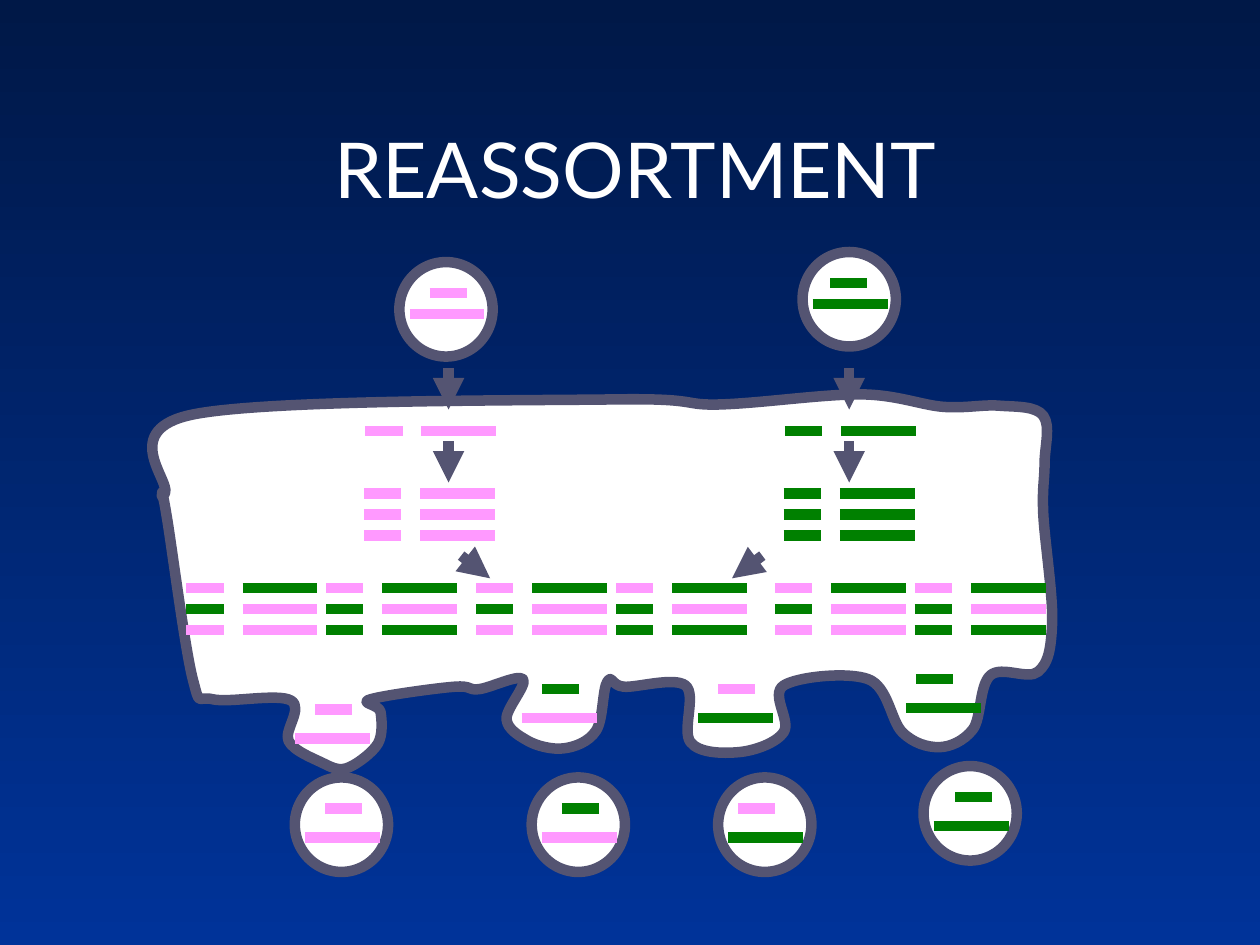
from dataclasses import dataclass

from lxml import etree
from pptx import Presentation
from pptx.dml.color import RGBColor
from pptx.enum.shapes import MSO_CONNECTOR, MSO_SHAPE
from pptx.enum.text import MSO_ANCHOR, PP_ALIGN
from pptx.oxml.ns import qn
from pptx.util import Inches, Pt

STRAIGHT = MSO_CONNECTOR.STRAIGHT
ELLIPSE = MSO_SHAPE.OVAL
BOTTOM = MSO_ANCHOR.BOTTOM
CENTER = PP_ALIGN.CENTER

# The slide is a grid of 1000 columns by 750 rows.
COLUMNS, ROWS = 1000, 750
CELL = Inches(0.01)


@dataclass(frozen=True)
class Theme:
    background_top: RGBColor = RGBColor.from_string("001847")
    background_bottom: RGBColor = RGBColor.from_string("003399")
    white: RGBColor = RGBColor.from_string("FFFFFF")
    outline: RGBColor = RGBColor.from_string("545472")
    pink: RGBColor = RGBColor.from_string("FF99FF")
    green: RGBColor = RGBColor.from_string("008000")
    font: str = "Lato"
    title_size: Pt = Pt(44)
    stroke: Pt = Pt(6)


THEME = Theme()
PINK, GREEN = THEME.pink, THEME.green

SHORT, LONG = 29.5, 59.5
SIDE_BY_SIDE = 44.5
ROW_STEP = 100 / 6
BUD_DROP = 23

# Corners that the smooth membrane passes through, clockwise.
LEFT_SIDE = [(153, 539), (133, 414), (129, 391), (131, 391), (153, 329)]
TOP_SIDE = [(488, 317), (572, 321), (682, 313), (750, 323), (793, 322), (828, 330)]
RIGHT_SIDE = [(829, 368), (828, 408), (835, 495), (824, 533)]
FOURTH_BUD = [(786, 536), (772, 579), (745, 593), (716, 581), (689, 539)]
THIRD_BUD = [(622, 544), (622, 581), (586, 597), (548, 589), (544, 544)]
SECOND_BUD = [(495, 545), (482, 541), (473, 580), (447, 594), (419, 588),
              (402, 571), (415, 539), (380, 547), (361, 545)]
FIRST_BUD = [(294, 555), (302, 565), (300, 590), (277, 609), (257, 606),
             (229, 588), (231, 556), (169, 555)]
MEMBRANE = (LEFT_SIDE + TOP_SIDE + RIGHT_SIDE
            + FOURTH_BUD + THIRD_BUD + SECOND_BUD + FIRST_BUD)


def cells(*counts):
    return [round(count * CELL) for count in counts]


def paint_background(slide):
    fill = slide.background.fill
    fill.gradient()
    fill.gradient_angle = 270
    top, bottom = fill.gradient_stops
    top.color.rgb, top.position = THEME.background_top, 0
    bottom.color.rgb, bottom.position = THEME.background_bottom, 1


def add_title(slide, text):
    box = slide.shapes.add_textbox(*cells(92, 50, 825, 125))
    frame = box.text_frame
    frame.word_wrap = True
    frame.vertical_anchor = BOTTOM
    paragraph = frame.paragraphs[0]
    paragraph.alignment = CENTER
    run = paragraph.add_run()
    run.text = text
    run.font.name = THEME.font
    run.font.size = THEME.title_size
    run.font.color.rgb = THEME.white


def add_line(shapes, start, end, colour, arrow=False):
    connector = shapes.add_connector(STRAIGHT, *cells(*start, *end))
    connector.line.color.rgb = colour
    connector.line.width = THEME.stroke
    properties = connector._element.spPr
    if arrow:
        outline = properties.find(qn("a:ln"))
        etree.SubElement(outline, qn("a:tailEnd"), type="triangle")
    etree.SubElement(properties, qn("a:effectLst"))


def style_body(shape):
    shape.shadow.inherit = False
    shape.fill.solid()
    shape.fill.fore_color.rgb = THEME.white
    shape.line.color.rgb = THEME.outline
    shape.line.width = THEME.stroke


def add_genome(shapes, left, top, colours, shift=SIDE_BY_SIDE, drop=0):
    """Draw a short segment and, moved by shift and drop, a long one."""
    short_colour, long_colour = colours
    add_line(shapes, (left, top), (left + SHORT, top), short_colour)
    left, top = left + shift, top + drop
    add_line(shapes, (left, top), (left + LONG, top), long_colour)


def add_virion(shapes, left, top, colours, drop, inset=24):
    body = shapes.add_shape(ELLIPSE, *cells(left, top, 74, 75))
    style_body(body)
    add_genome(shapes, left + inset, top + 24.5, colours, 8 - inset, drop)


def smooth_steps(corners):
    """Return two control points and an end point for each curve of a closed spline."""
    def control(index, sign):
        before, here, after = (corners[(index + move) % len(corners)] for move in (-1, 0, 1))
        return tuple(h + sign * (a - b) / 6 for b, h, a in zip(before, here, after))

    steps = []
    for index in range(len(corners)):
        following = (index + 1) % len(corners)
        steps += [control(index, 1), control(following, -1), corners[following]]
    return steps


def add_cell_membrane(shapes):
    builder = shapes.build_freeform(*MEMBRANE[0], scale=CELL)
    builder.add_line_segments(smooth_steps(MEMBRANE))
    membrane = builder.convert_to_shape()
    style_body(membrane)
    # Each three straight steps become one cubic curve.
    outline = membrane._element.find(".//" + qn("a:path"))
    steps = outline.findall(qn("a:lnTo"))[:3 * len(MEMBRANE)]
    for first in range(0, len(steps), 3):
        curve = etree.Element(qn("a:cubicBezTo"))
        steps[first].addprevious(curve)
        for step in steps[first:first + 3]:
            curve.append(step[0])
            outline.remove(step)


def add_pool(shapes, left):
    """Draw three rows of two mixed genomes as one group."""
    group = shapes.add_group_shape()
    rows = [[(PINK, GREEN)] * 2, [(GREEN, PINK)] * 2, [(PINK, PINK), (GREEN, GREEN)]]
    for row, genomes in enumerate(rows):
        for column, colours in enumerate(genomes):
            add_genome(group.shapes, left + 111 * column, 466.7 + ROW_STEP * row, colours)


def add_infection(shapes, genome_left, arrow_column, colour):
    """Draw entry, the released genome and its three copies."""
    colours = (colour, colour)
    add_genome(shapes, genome_left, 342, colours)
    for top in (292, 350):
        add_line(shapes, (arrow_column, top), (arrow_column, top + 33), THEME.outline, True)
    for row in range(3):
        add_genome(shapes, genome_left - 1, 391.7 + ROW_STEP * row, colours)


def add_progeny(shapes, bud, shift, virion, inset, colours):
    """Draw the genome in a bud and the virion released below it."""
    add_genome(shapes, *bud, colours, shift, BUD_DROP)
    add_virion(shapes, *virion, colours, BUD_DROP, inset)


def main():
    presentation = Presentation()
    presentation.slide_width, presentation.slide_height = cells(COLUMNS, ROWS)
    slide = presentation.slides.add_slide(presentation.slide_layouts[6])
    shapes = slide.shapes
    paint_background(slide)
    add_title(slide, "REASSORTMENT")

    add_virion(shapes, 637, 200, (GREEN, GREEN), ROW_STEP, 22)
    add_virion(shapes, 317, 208, (PINK, PINK), ROW_STEP)
    add_cell_membrane(shapes)

    add_progeny(shapes, (250, 563), -16, (234, 617), 24, (PINK, PINK))
    add_progeny(shapes, (430, 547), -16, (422, 617), 24, (GREEN, PINK))
    add_progeny(shapes, (570, 547), -16, (570, 617), 16, (PINK, GREEN))
    add_progeny(shapes, (727, 539), -8, (733, 608), 25, (GREEN, GREEN))

    add_infection(shapes, 290, 356, PINK)
    add_infection(shapes, 623, 674, GREEN)
    for left in (148, 378, 615):
        add_pool(shapes, left)
    for start, end in ((366, 389), (605, 581)):
        add_line(shapes, (start, 441), (end, 459), THEME.outline, True)

    presentation.save("out.pptx")


if __name__ == "__main__":
    main()
